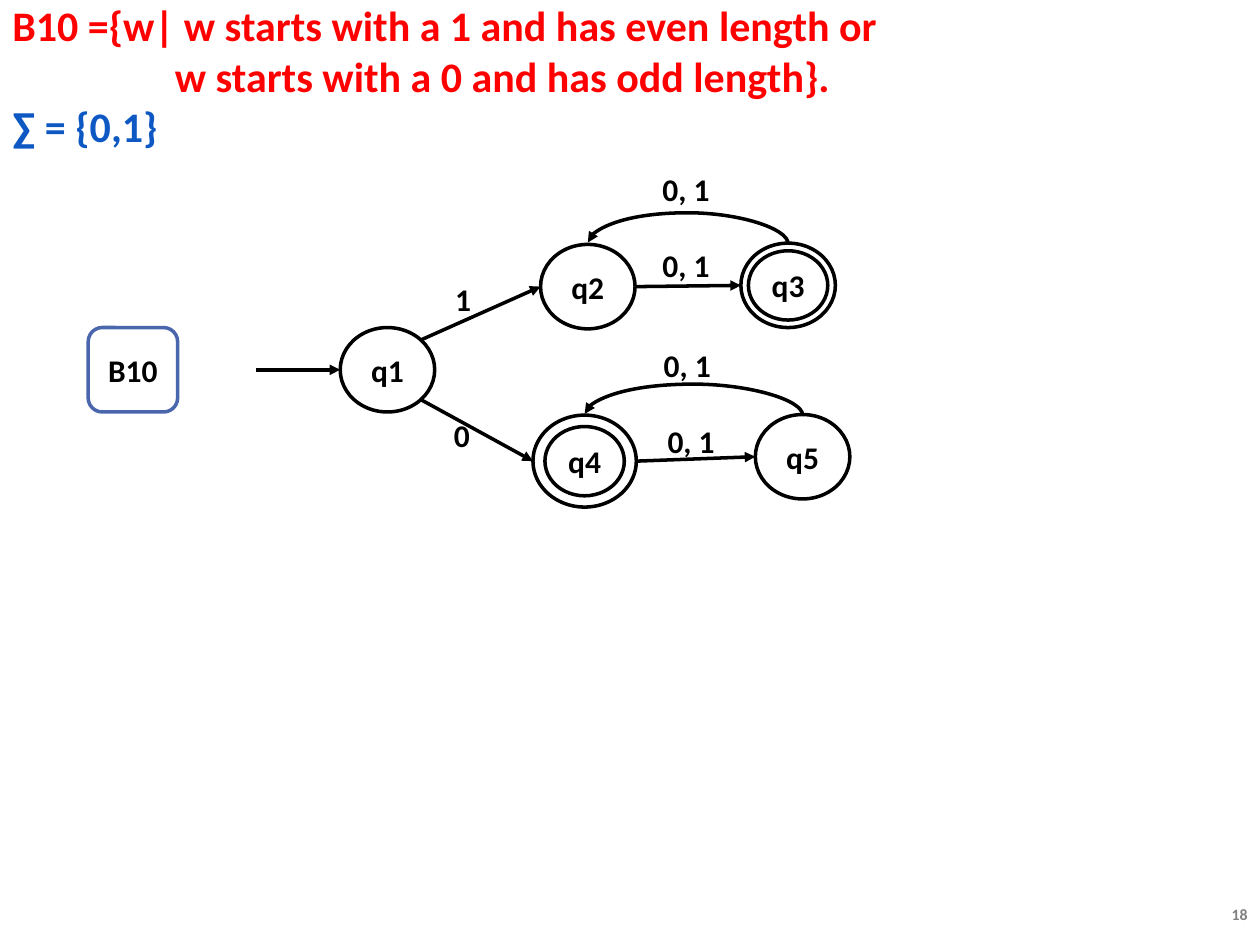
from lxml.etree import SubElement
from pptx import Presentation
from pptx.dml.color import RGBColor
from pptx.enum.shapes import MSO_CONNECTOR, MSO_SHAPE
from pptx.enum.text import MSO_ANCHOR, PP_ALIGN
from pptx.oxml.ns import qn
from pptx.util import Inches, Pt

COLUMNS, ROWS = 100, 75
CELL = Inches(10) // COLUMNS
RX, RY = 3.75, 3.35
DIAGONAL = 0.5 ** 0.5


def grid(*values):
    return [round(v * CELL) for v in values]


def rgb(value):
    return RGBColor.from_string(value)


def add_run(p, text, size=18, color="000000"):
    r = p.add_run()
    r.text = text
    r.font.name = "Calibri"
    r.font.size = Pt(size)
    r.font.bold = True
    r.font.color.rgb = rgb(color)


def add_text(s, box, text, size=18, color="000000", align=PP_ALIGN.CENTER):
    tf = s.shapes.add_textbox(*grid(*box)).text_frame
    tf.word_wrap = True
    tf.vertical_anchor = MSO_ANCHOR.MIDDLE
    tf.paragraphs[0].alignment = align
    add_run(tf.paragraphs[0], text, size, color)


def add_title(s):
    tf = s.shapes.add_textbox(*grid(0, 0, 91, 12)).text_frame
    tf.word_wrap = True
    tf.vertical_anchor = MSO_ANCHOR.MIDDLE
    p = tf.paragraphs[0]
    hang = grid(12.9)[0]
    pPr = p._p.get_or_add_pPr()
    pPr.set("marL", str(hang))
    pPr.set("indent", str(-hang))
    add_run(p, "B10 ={w| w starts with a 1 and has even length or", 24, "FF0000")
    p.add_line_break()
    add_run(p, "w starts with a 0 and has odd length}.", 24, "FF0000")
    add_run(tf.add_paragraph(), "∑ = {0,1}", 24, "0E58C4")


def add_outline(s, kind, box, line="000000", text=None):
    sp = s.shapes.add_shape(kind, *grid(*box))
    sp.shadow.inherit = False
    sp.line.color.rgb = rgb(line)
    sp.line.width = Pt(2)
    if text is None:
        sp.fill.background()
        return
    sp.fill.solid()
    sp.fill.fore_color.rgb = rgb("FFFFFF")
    tf = sp.text_frame
    tf.vertical_anchor = MSO_ANCHOR.MIDDLE
    p = tf.paragraphs[0]
    p.alignment = PP_ALIGN.CENTER
    add_run(p, text)


def add_state(s, name, x, y, rx=RX, ry=RY, accepting=False):
    add_outline(s, MSO_SHAPE.OVAL, (x - rx, y - ry, 2 * rx, 2 * ry), text=name)
    if accepting:
        add_outline(s, MSO_SHAPE.OVAL, (x - 3.15, y - 2.75, 6.3, 5.5))


def add_arrow(s, start, end, kind=MSO_CONNECTOR.STRAIGHT):
    c = s.shapes.add_connector(kind, *grid(*start, *end))
    c.line.color.rgb = rgb("000000")
    c.line.width = Pt(2)
    c.line._get_or_add_ln().append(
        c._element.makeelement(qn("a:tailEnd"), {"type": "triangle"}))
    SubElement(c._element.spPr, qn("a:effectLst"))
    return c


def add_return_arc(s, start, end, rise=2.5):
    c = add_arrow(s, start, end, MSO_CONNECTOR.CURVE)
    depth, span = 0.1, start[0] - end[0]
    middle = (start[0] + end[0]) / 2
    c.left, c.top, c.width, c.height = grid(
        middle - depth / 2, start[1] - span / 2, depth, span)
    spPr = c._element.spPr
    xfrm = spPr.find(qn("a:xfrm"))
    xfrm.set("rot", "16200000")
    xfrm.set("flipH", "0")
    xfrm.set("flipV", "1")
    geom = spPr.find(qn("a:prstGeom"))
    adjust = geom.find(qn("a:avLst"))
    if adjust is None:
        adjust = SubElement(geom, qn("a:avLst"))
    SubElement(adjust, qn("a:gd"), name="adj1",
               fmla=f"val {round(rise / depth * 100000)}")


def main():
    prs = Presentation()
    prs.slide_width, prs.slide_height = COLUMNS * CELL, ROWS * CELL
    s = prs.slides.add_slide(prs.slide_layouts[6])

    add_title(s)
    add_text(s, (87.3, 71.3, 12.7, 2.5), "18", 9, "808080", PP_ALIGN.RIGHT)
    add_outline(s, MSO_SHAPE.ROUNDED_RECTANGLE, (7, 26, 7.1, 2 * RY), "4A66AC", "B10")

    q1, q2, q3 = (30.75, 29.35), (46.65, 22.75), (62.55, 22.65)
    q4, q5 = (46.4, 36.6), (63.7, 36.25)
    rx4, ry4 = 4.1, 3.65
    add_state(s, "q1", *q1)
    add_state(s, "q2", *q2)
    add_state(s, "q3", *q3, accepting=True)
    add_state(s, "q4", *q4, rx4, ry4, accepting=True)
    add_state(s, "q5", *q5)

    branch_x = q1[0] + RX * DIAGONAL
    branch_dy = RY * DIAGONAL
    for start, end in [
        ((20.3, q1[1]), (q1[0] - RX, q1[1])),
        ((branch_x, q1[1] - branch_dy), (q2[0] - RX, q2[1])),
        ((branch_x, q1[1] + branch_dy), (q4[0] - rx4, q4[1])),
        ((q2[0] + RX, q2[1]), (q3[0] - RX, q3[1])),
        ((q4[0] + rx4, q4[1]), (q5[0] - RX, q5[1])),
    ]:
        add_arrow(s, start, end)
    add_return_arc(s, (q3[0], q3[1] - RY), (q2[0], q2[1] - RY))
    add_return_arc(s, (q5[0], q5[1] - RY), (q4[0], q4[1] - ry4))

    for text, x, y in [
        ("1", 33.5, 21.5), ("0", 33.4, 32.3),
        ("0, 1", 51.2, 12.7), ("0, 1", 51.2, 18.8),
        ("0, 1", 51.3, 26.7), ("0, 1", 51.6, 32.7),
    ]:
        add_text(s, (x, y, 6.5, 4.5), text)

    prs.save("out.pptx")


if __name__ == "__main__":
    main()
